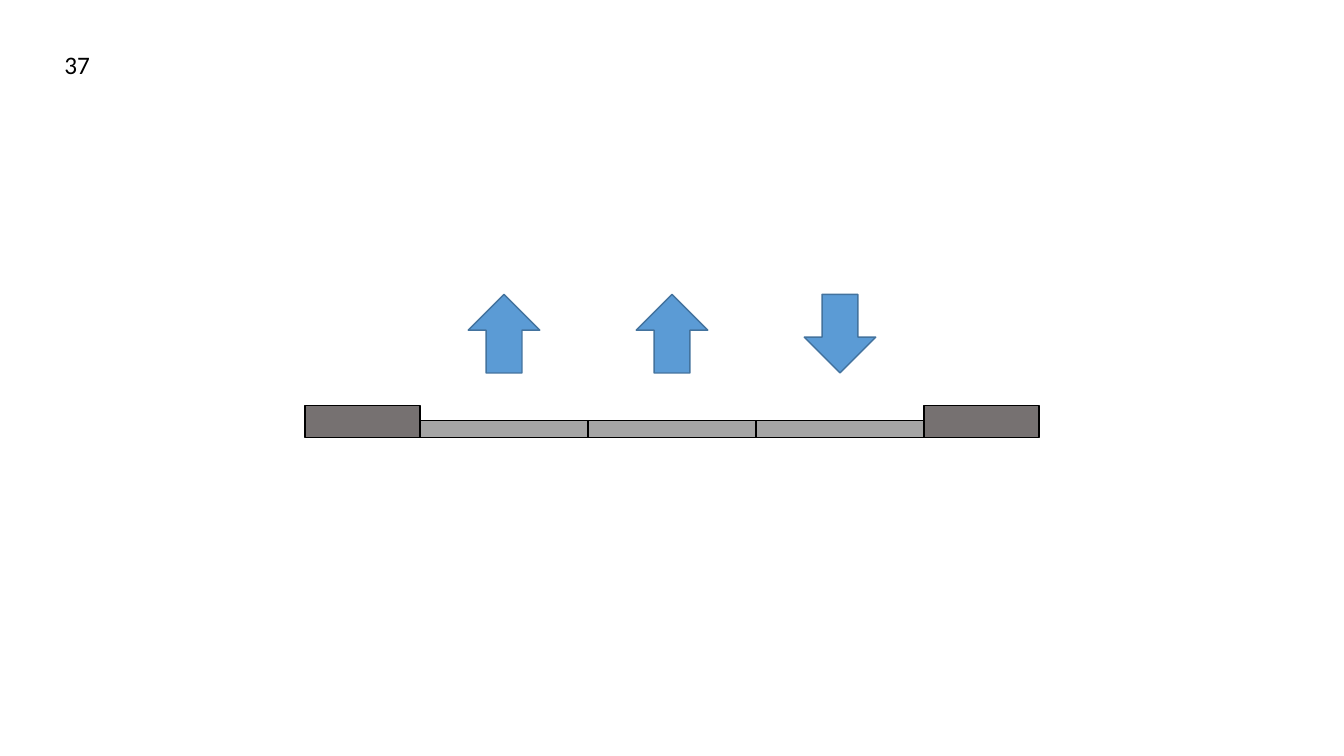
from pptx import Presentation
from pptx.dml.color import RGBColor
from pptx.enum.shapes import MSO_SHAPE
from pptx.util import Inches, Pt

BLACK = RGBColor(0x00, 0x00, 0x00)
LANE_GREY = RGBColor(0xA5, 0xA5, 0xA5)
KERB_GREY = RGBColor(0x76, 0x71, 0x71)
ARROW_BLUE = RGBColor(0x5B, 0x9B, 0xD5)
ARROW_EDGE = RGBColor(0x43, 0x73, 0x9E)

NUMBER = "37"
LANE_ROTATIONS = [180, 180, 0]

SLIDE_WIDTH, SLIDE_HEIGHT = 13.33, 7.5
LANE_WIDTH, LANE_HEIGHT = SLIDE_WIDTH / 8, 0.17
KERB_WIDTH, KERB_HEIGHT = 1.14, 0.32
ARROW_WIDTH, ARROW_HEIGHT, ARROW_TOP = 0.71, 0.78, 2.92
ROAD_WIDTH = LANE_WIDTH * len(LANE_ROTATIONS)
ROAD_LEFT = (SLIDE_WIDTH - ROAD_WIDTH) / 2
ROAD_BOTTOM = 4.34

deck = Presentation()
deck.slide_width = Inches(SLIDE_WIDTH)
deck.slide_height = Inches(SLIDE_HEIGHT)
page = deck.slides.add_slide(deck.slide_layouts[6])


def add_part(kind, left, top, width, height, fill, edge):
    part = page.shapes.add_shape(
        kind, Inches(left), Inches(top), Inches(width), Inches(height))
    part.shadow.inherit = False
    part.fill.solid()
    part.fill.fore_color.rgb = fill
    part.line.color.rgb = edge
    part.line.width = Pt(1)
    return part


box = page.shapes.add_textbox(Inches(0.54), Inches(0.44), Inches(0.61), Inches(0.4))
box.text_frame.word_wrap = True
box.text_frame.text = NUMBER
span = box.text_frame.paragraphs[0].runs[0]
span.font.name = "Calibri"
span.font.size = Pt(18)
span.font.color.rgb = BLACK

for column, rotation in enumerate(LANE_ROTATIONS):
    lane_left = ROAD_LEFT + column * LANE_WIDTH
    add_part(MSO_SHAPE.RECTANGLE, lane_left, ROAD_BOTTOM - LANE_HEIGHT,
             LANE_WIDTH, LANE_HEIGHT, LANE_GREY, BLACK)
    arrow_left = lane_left + (LANE_WIDTH - ARROW_WIDTH) / 2
    arrow = add_part(MSO_SHAPE.DOWN_ARROW, arrow_left, ARROW_TOP,
                     ARROW_WIDTH, ARROW_HEIGHT, ARROW_BLUE, ARROW_EDGE)
    arrow.rotation = rotation

for kerb_left in (ROAD_LEFT - KERB_WIDTH, ROAD_LEFT + ROAD_WIDTH):
    add_part(MSO_SHAPE.RECTANGLE, kerb_left, ROAD_BOTTOM - KERB_HEIGHT,
             KERB_WIDTH, KERB_HEIGHT, KERB_GREY, BLACK)

deck.save("out.pptx")
